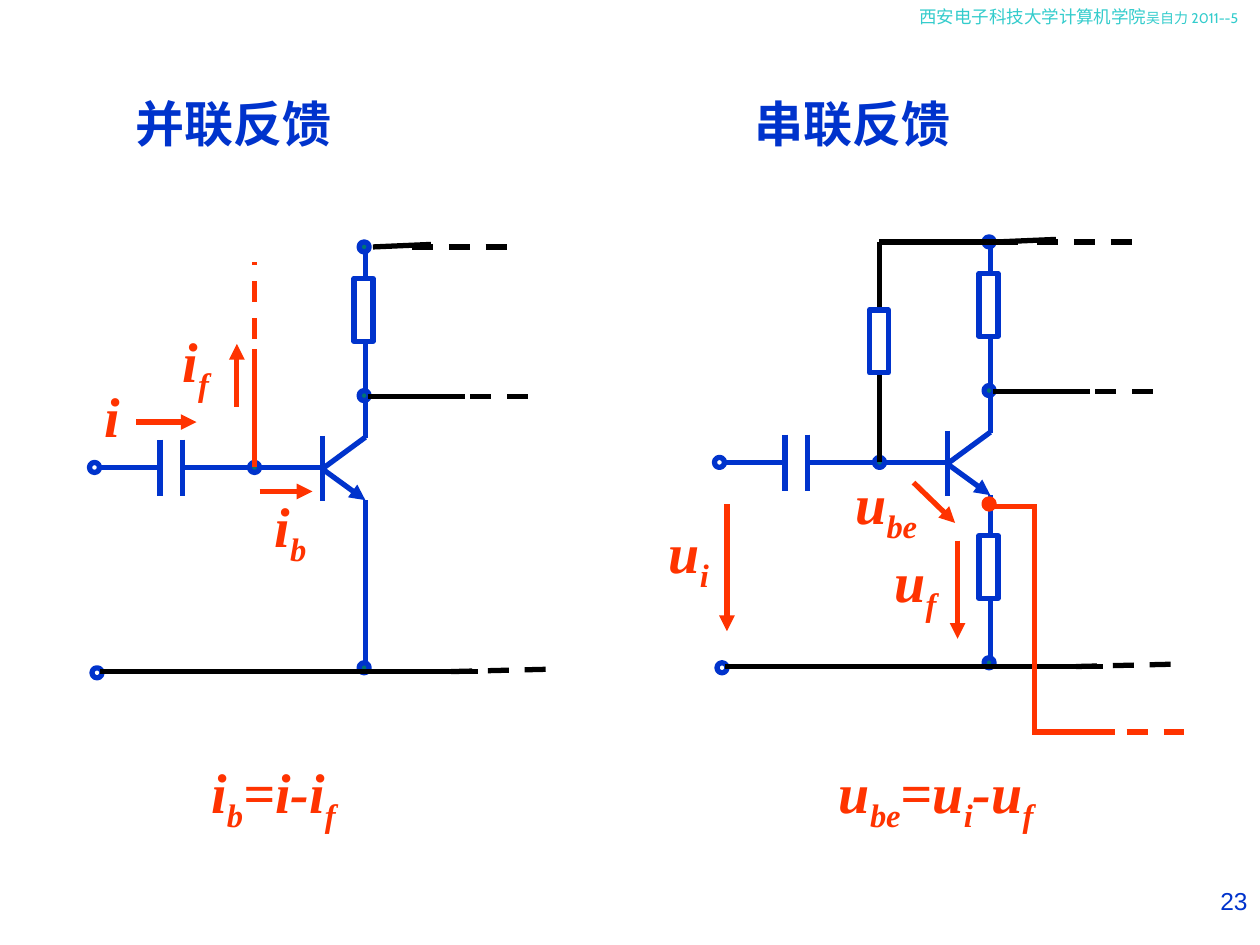
from lxml import etree
from pptx import Presentation
from pptx import util as u
from pptx.dml.color import RGBColor
from pptx.enum import shapes, text
from pptx.enum.dml import MSO_LINE
from pptx.oxml.ns import qn

COLS, ROWS = 1000, 750
BLUE, RED, BLACK, WHITE = "0033CC", "FF3300", "000000", "FFFFFF"
TEAL, CYAN = "007572", "33CCCC"


def cell(num):
    """Turn a count of grid cells into a length."""
    return u.Inches(num * 10 / COLS)


def tint(code):
    """Turn a hex string into a colour."""
    return RGBColor.from_string(code)


def wire(host, start, end, color=BLUE, dash=False, arrow=False):
    """Draw a straight wire between two grid points."""
    ends = [cell(n) for n in (*start, *end)]
    line = host.shapes.add_connector(shapes.MSO_CONNECTOR.STRAIGHT, *ends)
    line.line.width = u.Pt(3)
    line.line.color.rgb = tint(color)
    if dash:
        line.line.dash_style = MSO_LINE.DASH
    if arrow:
        stroke = line.line._get_or_add_ln()
        etree.SubElement(stroke, qn("a:tailEnd"), type="triangle")
    etree.SubElement(line._element.spPr, qn("a:effectLst"))


def part(host, kind, box, fill=None, edge=BLUE):
    """Draw a filled or hollow preset shape."""
    item = host.shapes.add_shape(kind, *[cell(n) for n in box])
    item.shadow.inherit = False
    if fill:
        item.fill.solid()
        item.fill.fore_color.rgb = tint(fill)
    else:
        item.fill.background()
    item.line.color.rgb = tint(edge)
    item.line.width = u.Pt(3)


def node(host, x, y, fill=None, edge=BLUE):
    """Draw a round node centred on a grid point."""
    part(host, shapes.MSO_SHAPE.OVAL, (x - 4, y - 4, 8, 8), fill, edge)


def load(host, x, y):
    """Draw a resistor from its top left corner."""
    part(host, shapes.MSO_SHAPE.RECTANGLE, (x, y, 15, 50), WHITE)


def label(host, words, box, size=32, font="Times New Roman", color=RED,
          bold=True, slant=True, align=None, small=None):
    """Write text whose every second part, split by bars, is a subscript or small."""
    frame = host.shapes.add_textbox(*[cell(n) for n in box]).text_frame
    frame.word_wrap = True
    frame.vertical_anchor = text.MSO_ANCHOR.TOP
    para = frame.paragraphs[0]
    para.alignment = align
    for num, word in enumerate(words.split("|")):
        run = para.add_run()
        run.text = word
        face = run.font
        face.name, face.size = font, u.Pt(size)
        face.bold, face.italic = bold, slant
        face.color.rgb = tint(color)
        if num % 2 and small:
            face.size = u.Pt(small)
        elif num % 2:
            run._r.get_or_add_rPr().set("baseline", "-25000")


def stage(slide):
    """Draw the transistor stage that both circuits share."""
    host = slide.shapes.add_group_shape()
    wire(host, (256, 346), (256, 398))
    wire(host, (256, 372), (290, 347))
    wire(host, (257, 373), (290, 397), arrow=True)
    wire(host, (290, 397), (290, 535))
    wire(host, (290, 348), (290, 195))
    wire(host, (256, 371), (77, 371))
    for x, y in ((289, 314), (202, 371), (289, 530), (289, 196)):
        node(host, x, y, TEAL)
    for x, y in ((75, 371), (77, 534)):
        node(host, x, y)
    load(host, 281, 221)
    part(host, shapes.MSO_SHAPE.RECTANGLE, (129, 351, 15, 41), WHITE, WHITE)
    for x in (127, 145):
        wire(host, (x, 349), (x, 394))
    wire(host, (79, 533), (379, 533), BLACK)
    wire(host, (292, 314.5), (369, 314.5), BLACK)
    wire(host, (344, 314.5), (423, 314.5), BLACK, dash=True)
    wire(host, (358, 533), (442, 531), BLACK, dash=True)
    wire(host, (296, 196), (342, 194), BLACK)
    wire(host, (327, 196), (410, 196), BLACK, dash=True)
    return host


def shunt(slide):
    """Draw the circuit with parallel feedback."""
    host = stage(slide)
    wire(host, (202, 371), (202, 277), RED)
    wire(host, (202, 298), (202, 208), RED, dash=True)
    for start, end in (((108, 335), (156, 335)), ((188, 323), (188, 273)),
                       ((206, 390), (248, 390))):
        wire(host, start, end, RED, arrow=True)
    label(host, "i", (73, 298, 65, 64))
    label(host, "i|f", (135, 254, 71, 71))
    label(host, "i|b", (208, 385, 65, 71))


def series(slide):
    """Draw the circuit with series feedback, then shift it to the right half."""
    host = stage(slide)
    load(host, 281, 429)
    wire(host, (202, 371), (202, 196), BLACK)
    wire(host, (202, 196), (312, 196), BLACK)
    load(host, 194, 250)
    wire(host, (289, 406), (327, 406), RED)
    wire(host, (325, 404), (325, 587), RED)
    wire(host, (325, 585), (389, 585), RED)
    wire(host, (369, 585), (444, 585), RED, dash=True)
    node(host, 289, 404, RED, RED)
    for start, end in (((264, 433), (264, 511)), ((229, 387), (262, 419)),
                       ((81, 404), (81, 505))):
        wire(host, start, end, RED, arrow=True)
    label(host, "u|f", (204, 433, 92, 71))
    label(host, "u|i", (25, 410, 100, 71))
    label(host, "u|be", (173, 371, 100, 71))
    host.left += cell(496)
    host.top -= cell(4)


def main():
    """Build the slide and save it."""
    deck = Presentation()
    deck.slide_width, deck.slide_height = cell(COLS), cell(ROWS)
    slide = deck.slides.add_slide(deck.slide_layouts[6])
    plain = dict(bold=False, slant=False)
    label(slide, "西安电子科技大学计算机学院|吴自力 2011--5", (720, 0, 280, 40),
          size=10, small=8, font="Cabin", color=CYAN, **plain)
    shunt(slide)
    series(slide)
    label(slide, "i|b|=i-i|f", (158, 596, 144, 71))
    label(slide, "u|be|=u|i|-u|f", (656, 596, 210, 71))
    for words, x, wide in (("并联反馈", 98, 275), ("串联反馈", 589, 218)):
        label(slide, words, (x, 69, wide, 57), size=28, color=BLUE, slant=False)
    label(slide, "23", (750, 698, 250, 52), size=14, font="Arial", color=BLUE,
          align=text.PP_ALIGN.RIGHT, **plain)
    deck.save("out.pptx")


if __name__ == "__main__":
    main()
